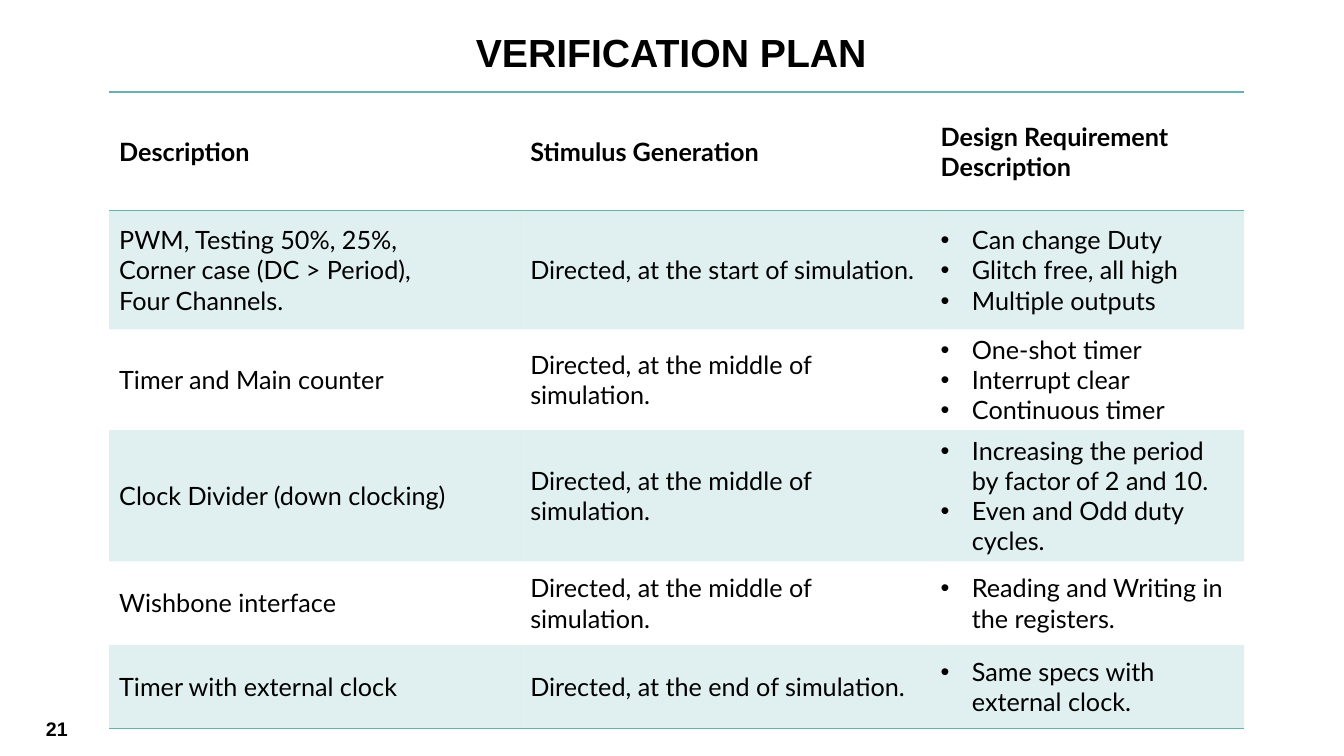
from lxml.etree import SubElement
from pptx import Presentation
from pptx.dml.color import RGBColor
from pptx.enum.text import MSO_ANCHOR, MSO_AUTO_SIZE, PP_ALIGN
from pptx.oxml import parse_xml
from pptx.oxml.ns import nsdecls, qn
from pptx.util import Cm, Pt

# Content: one tuple per row, several lines in a cell as a list
TITLE = "VERIFICATION PLAN"
PAGE = "21"
MIDDLE = "Directed, at the middle of simulation."
ROWS = [
    ("Description", "Stimulus Generation", "Design Requirement Description"),
    (["PWM, Testing 50%, 25%,", "Corner case (DC > Period),", "Four Channels."],
     "Directed, at the start of simulation.",
     ["Can change Duty", "Glitch free, all high", "Multiple outputs"]),
    ("Timer and Main counter", MIDDLE,
     ["One-shot timer", "Interrupt clear", "Continuous timer"]),
    ("Clock Divider (down clocking)", MIDDLE,
     ["Increasing the period by factor of 2 and 10.", "Even and Odd duty cycles."]),
    ("Wishbone interface", MIDDLE, ["Reading and Writing in the registers."]),
    ("Timer with external clock", "Directed, at the end of simulation.",
     ["Same specs with external clock."]),
]
COL_WIDTHS = [10.36, 10.34, 7.9]
ROW_HEIGHTS = [2.99, 2.99, 2.5, 3.24, 2.11, 2.11]
TEAL, BLACK = "66B2B0", "000000"
NO_GRID_STYLE = "{2D5ABB26-0587-4C30-8999-92F81FD0307C}"


def color(value):
    return RGBColor.from_string(value)


def format_runs(p, font, size, bold):
    for r in p.runs:
        r.font.name, r.font.size, r.font.bold = font, Pt(size), bold
        r.font.color.rgb = color(BLACK)


def add_bullet(p):
    pPr = p._p.get_or_add_pPr()
    pPr.set("marL", str(Cm(0.79)))
    pPr.set("indent", str(-Cm(0.79)))
    SubElement(pPr, qn("a:buFont")).set("typeface", "Arial")
    SubElement(pPr, qn("a:buChar")).set("char", "•")


def tint(cell):
    cell.fill.solid()
    cell.fill.fore_color.rgb = color(TEAL)
    rgb = cell._tc.tcPr.find(".//" + qn("a:srgbClr"))
    SubElement(rgb, qn("a:alpha")).set("val", "20000")


def add_borders(cell, sides):
    tcPr = cell._tc.get_or_add_tcPr()
    for i, side in enumerate(sides):
        tcPr.insert(i, parse_xml(
            f'<a:ln{side} {nsdecls("a")} w="{Pt(1)}"><a:solidFill>'
            f'<a:srgbClr val="{TEAL}"/></a:solidFill></a:ln{side}>'))


prs = Presentation()
prs.slide_width, prs.slide_height = Cm(33.87), Cm(19.05)
s = prs.slides.add_slide(prs.slide_layouts[5])

# Title
title = s.shapes.title
title.left, title.top, title.width, title.height = Cm(9.5), Cm(0.48), Cm(14.83), Cm(1.57)
tf = title.text_frame
tf.text = TITLE
tf.auto_size = MSO_AUTO_SIZE.NONE
tf.vertical_anchor = MSO_ANCHOR.BOTTOM
p = tf.paragraphs[0]
p.alignment, p.line_spacing = PP_ALIGN.CENTER, 0.9
format_runs(p, "Arial", 28, True)

# Table
frame = s.shapes.add_table(len(ROWS), len(COL_WIDTHS), Cm(2.75), Cm(2.32),
                           Cm(sum(COL_WIDTHS)), Cm(sum(ROW_HEIGHTS)))
table = frame.table
table._tbl.tblPr.find(qn("a:tableStyleId")).text = NO_GRID_STYLE
table.horz_banding = False
for column, width in zip(table.columns, COL_WIDTHS):
    column.width = Cm(width)
for row, height in zip(table.rows, ROW_HEIGHTS):
    row.height = Cm(height)

for i, row in enumerate(ROWS):
    for j, content in enumerate(row):
        cell = table.cell(i, j)
        cell.vertical_anchor = MSO_ANCHOR.MIDDLE
        cell.text_frame.text = content if isinstance(content, str) else "\n".join(content)
        for p in cell.text_frame.paragraphs:
            if i > 0 and j == 2:
                add_bullet(p)
            format_runs(p, "Lato", 18, i == 0)
        if i % 2:
            tint(cell)
        if i == 0:
            add_borders(cell, "TB")
        elif i == len(ROWS) - 1:
            add_borders(cell, "B")

# Page number
sp = s.shapes.add_textbox(Cm(0.91), Cm(17.86), Cm(7.42), Cm(1.02))
tf = sp.text_frame
tf.word_wrap = True
tf.vertical_anchor = MSO_ANCHOR.MIDDLE
tf.text = PAGE
format_runs(tf.paragraphs[0], "Arial", 14, True)

prs.save("out.pptx")
